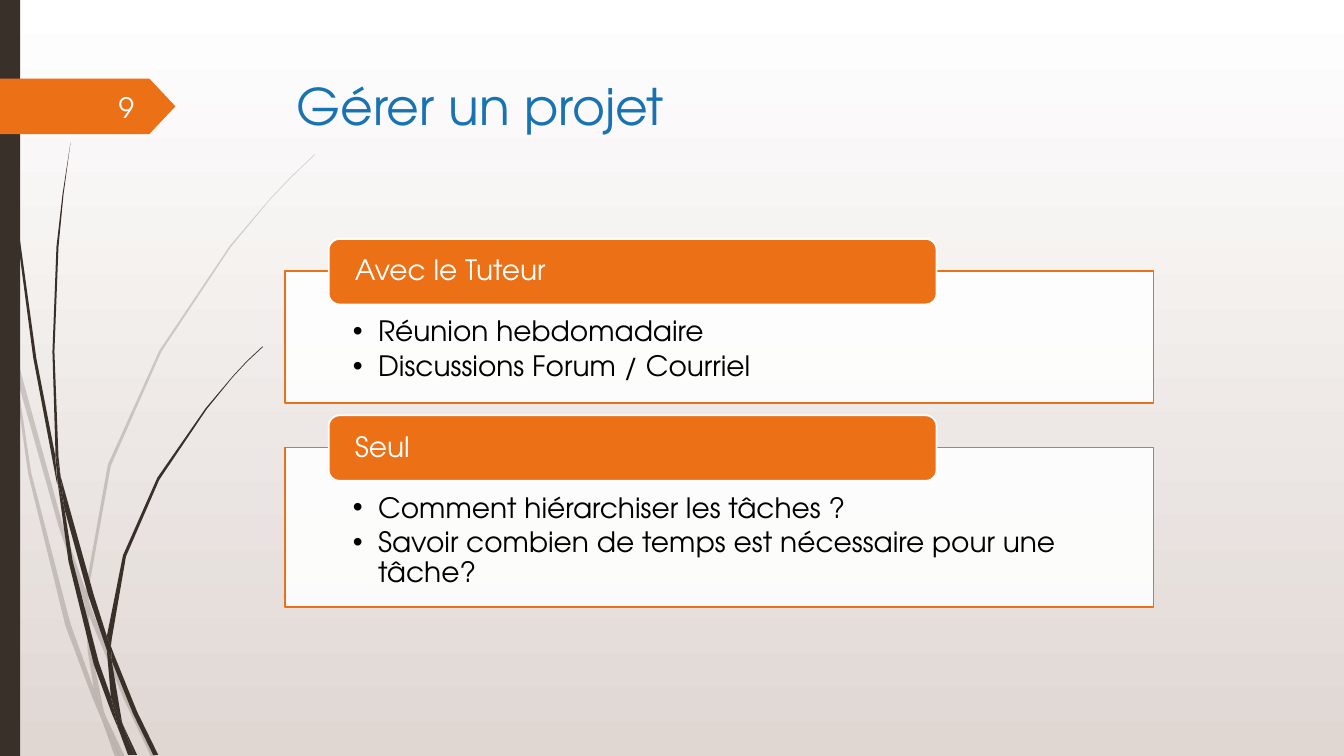
from dataclasses import dataclass

from lxml import etree
from pptx import Presentation
from pptx.dml.color import RGBColor
from pptx.enum.shapes import MSO_SHAPE
from pptx.enum.text import MSO_ANCHOR, MSO_AUTO_SIZE, PP_ALIGN
from pptx.oxml.ns import qn
from pptx.util import Pt

RECT, ROUNDED, PENTAGON = MSO_SHAPE.RECTANGLE, MSO_SHAPE.ROUNDED_RECTANGLE, MSO_SHAPE.PENTAGON
TOP, MIDDLE = MSO_ANCHOR.TOP, MSO_ANCHOR.MIDDLE
LEFT, RIGHT = PP_ALIGN.LEFT, PP_ALIGN.RIGHT
NO_FIT = MSO_AUTO_SIZE.NONE
PX = 9144  # EMU in one px, 100 px to the inch
TWO_CONTENT = 3


@dataclass(frozen=True)
class Theme:
    font: str = "TeX Gyre Adventor"
    title_size: int = 36
    text_size: int = 20
    line_width: float = 1.25
    title: str = "1773B2"
    accent: str = "EC7016"
    dark: str = "39302A"
    white: str = "FFFFFF"
    black: str = "000000"
    number: str = "FEFFFF"
    background_end: str = "E0D7D3"


@dataclass(frozen=True)
class Box:
    left: int
    top: int
    width: int
    height: int


@dataclass(frozen=True)
class Topic:
    heading: str
    points: list[str]
    top: int
    height: int


@dataclass(frozen=True)
class Tuft:
    opacity: int
    blades: list[list[tuple[int, int]]]


THEME = Theme()

TOPICS = [
    Topic("Avec le Tuteur", ["Réunion hebdomadaire", "Discussions Forum / Courriel"], 269, 131),
    Topic("Seul", ["Comment hiérarchiser les tâches ?",
                   "Savoir combien de temps est nécessaire pour une tâche?"], 444, 158),
]

PALE_TUFT = Tuft(20, [
    [(11, 350), (9, 322), (0, 282), (0, 299), (10, 344)],
    [(58, 522), (84, 599), (85, 586), (62, 520), (14, 345), (17, 376)],
    [(92, 607), (88, 596), (88, 610), (123, 694), (150, 751), (155, 751), (127, 692)],
    [(119, 751), (124, 751), (105, 711)],
    [(93, 683), (70, 619), (31, 469), (17, 376), (11, 350), (28, 470), (65, 621), (92, 693),
     (101, 714), (99, 707)],
    [(84, 599), (87, 646), (93, 683), (96, 692), (105, 711), (103, 706), (91, 646), (88, 610),
     (88, 608)],
    [(88, 584), (110, 462), (160, 349), (229, 245), (268, 198), (290, 175), (312, 154),
     (312, 153), (289, 175), (268, 197), (228, 244), (158, 348), (107, 461), (85, 584),
     (85, 586), (88, 596)],
    [(101, 714), (114, 751), (119, 751)],
    [(88, 608), (88, 610), (88, 596), (85, 586), (84, 599)],
    [(96, 692), (93, 683), (99, 707), (101, 714), (119, 751), (105, 711)],
])

DARK_TUFT = Tuft(100, [
    [(7, 110), (17, 233), (33, 355), (56, 477), (57, 481), (55, 457), (55, 453), (36, 355),
     (19, 232), (8, 109), (5, 48), (4, 0), (3, 0), (4, 48)],
    [(88, 592), (106, 645), (106, 633), (106, 631), (93, 590), (60, 472), (64, 505)],
    [(113, 649), (110, 641), (111, 656), (132, 708), (152, 749), (157, 749), (136, 706)],
    [(110, 691), (98, 657), (72, 556), (64, 505), (57, 477), (68, 557), (93, 659), (111, 708),
     (117, 722), (116, 717)],
    [(60, 472), (58, 453), (54, 349), (58, 245), (63, 193), (70, 141), (62, 193), (56, 245),
     (52, 349), (55, 449)],
    [(133, 749), (136, 749), (122, 719)],
    [(57, 477), (64, 505), (60, 472), (55, 449), (55, 453)],
    [(111, 633), (125, 552), (158, 476), (205, 406), (231, 374), (245, 359), (261, 344),
     (260, 344), (245, 358), (231, 373), (204, 405), (156, 474), (122, 551), (106, 631),
     (110, 641)],
    [(117, 722), (127, 749), (131, 749)],
    [(106, 645), (110, 691), (116, 706), (122, 719), (121, 716), (111, 656), (109, 651)],
    [(106, 645), (109, 651), (111, 656), (110, 641), (106, 631), (106, 633)],
    [(116, 706), (110, 691), (116, 717), (117, 722), (130, 749), (133, 749), (122, 719)],
])


def place(shape, box: Box) -> None:
    shape.left, shape.top = box.left * PX, box.top * PX
    shape.width, shape.height = box.width * PX, box.height * PX


def paint(shape, fill: str, line: str | None = None, opacity: int = 100) -> None:
    shape.fill.solid()
    shape.fill.fore_color.rgb = RGBColor.from_string(fill)
    if opacity < 100:
        color = shape.element.spPr.find(qn("a:solidFill")).find(qn("a:srgbClr"))
        etree.SubElement(color, qn("a:alpha")).set("val", str(opacity * 1000))
    if line:
        shape.line.color.rgb = RGBColor.from_string(line)
        shape.line.width = Pt(THEME.line_width)
    else:
        shape.line.fill.background()


def add_box(slide, kind, box: Box, fill: str, line: str | None = None):
    shape = slide.shapes.add_shape(kind, 0, 0, 0, 0)
    place(shape, box)
    paint(shape, fill, line)
    shape.shadow.inherit = False
    return shape


def write(shape, lines: list[str], *, color: str, size: int = THEME.text_size,
          anchor=TOP, align=LEFT, insets: tuple[int, int, int, int] = (10, 5, 10, 5),
          line_spacing: float = 1.0, space_after: int = 0, bullet: bool = False) -> None:
    frame = shape.text_frame
    frame.word_wrap = True
    frame.auto_size = NO_FIT
    frame.vertical_anchor = anchor
    (frame.margin_left, frame.margin_top,
     frame.margin_right, frame.margin_bottom) = (inset * PX for inset in insets)
    for index, line in enumerate(lines):
        paragraph = frame.add_paragraph() if index else frame.paragraphs[0]
        paragraph.alignment = align
        paragraph.line_spacing = line_spacing
        paragraph.space_before, paragraph.space_after = Pt(0), Pt(space_after)
        run = paragraph.add_run()
        run.text = line
        run.font.name, run.font.size = THEME.font, Pt(size)
        run.font.color.rgb = RGBColor.from_string(color)
        if bullet:
            properties = paragraph._p.get_or_add_pPr()
            properties.set("marL", str(25 * PX))
            properties.set("indent", str(-25 * PX))
            etree.SubElement(properties, qn("a:buFont")).set("typeface", "Arial")
            etree.SubElement(properties, qn("a:buChar")).set("char", "•")


def add_tuft(slide, tuft: Tuft) -> None:
    for start, *others in tuft.blades:
        builder = slide.shapes.build_freeform(*start, scale=PX)
        builder.add_line_segments(others, close=True)
        blade = builder.convert_to_shape()
        paint(blade, THEME.dark, opacity=tuft.opacity)
        blade.shadow.inherit = False


def add_topic(slide, panel, topic: Topic) -> None:
    place(panel, Box(283, topic.top, 861, topic.height))
    paint(panel, THEME.white, THEME.accent, opacity=90)
    write(panel, topic.points, color=THEME.black, insets=(67, 46, 67, 16),
          line_spacing=0.9, space_after=3, bullet=True)
    heading = add_box(slide, ROUNDED, Box(326, topic.top - 32, 603, 65), THEME.accent, THEME.white)
    write(heading, [topic.heading], color=THEME.white, anchor=MIDDLE,
          insets=(23, 0, 23, 0), line_spacing=0.9)


def main() -> None:
    presentation = Presentation()
    presentation.slide_width, presentation.slide_height = 1333 * PX, 750 * PX
    slide = presentation.slides.add_slide(presentation.slide_layouts[TWO_CONTENT])
    title, *panels = slide.placeholders

    # Background
    background = slide.background.fill
    background.gradient()
    background.gradient_angle = 270
    for stop, color in zip(background.gradient_stops, (THEME.white, THEME.background_end)):
        stop.color.rgb = RGBColor.from_string(color)

    # Grass, side band and page number
    for tuft in (PALE_TUFT, DARK_TUFT):
        add_tuft(slide, tuft)
    add_box(slide, RECT, Box(0, 0, 20, 750), THEME.dark)
    page_tag = add_box(slide, PENTAGON, Box(0, 78, 174, 55), THEME.accent)
    page_tag.adjustments[0] = 0.47
    page_number = slide.shapes.add_textbox(0, 0, 0, 0)
    place(page_number, Box(58, 86, 85, 40))
    write(page_number, ["9"], color=THEME.number, anchor=MIDDLE, align=RIGHT)

    # Title and topics
    place(title, Box(284, 69, 975, 140))
    write(title, ["Gérer un projet"], color=THEME.title, size=THEME.title_size)
    for panel, topic in zip(panels, TOPICS):
        add_topic(slide, panel, topic)

    presentation.save("out.pptx")


if __name__ == "__main__":
    main()
